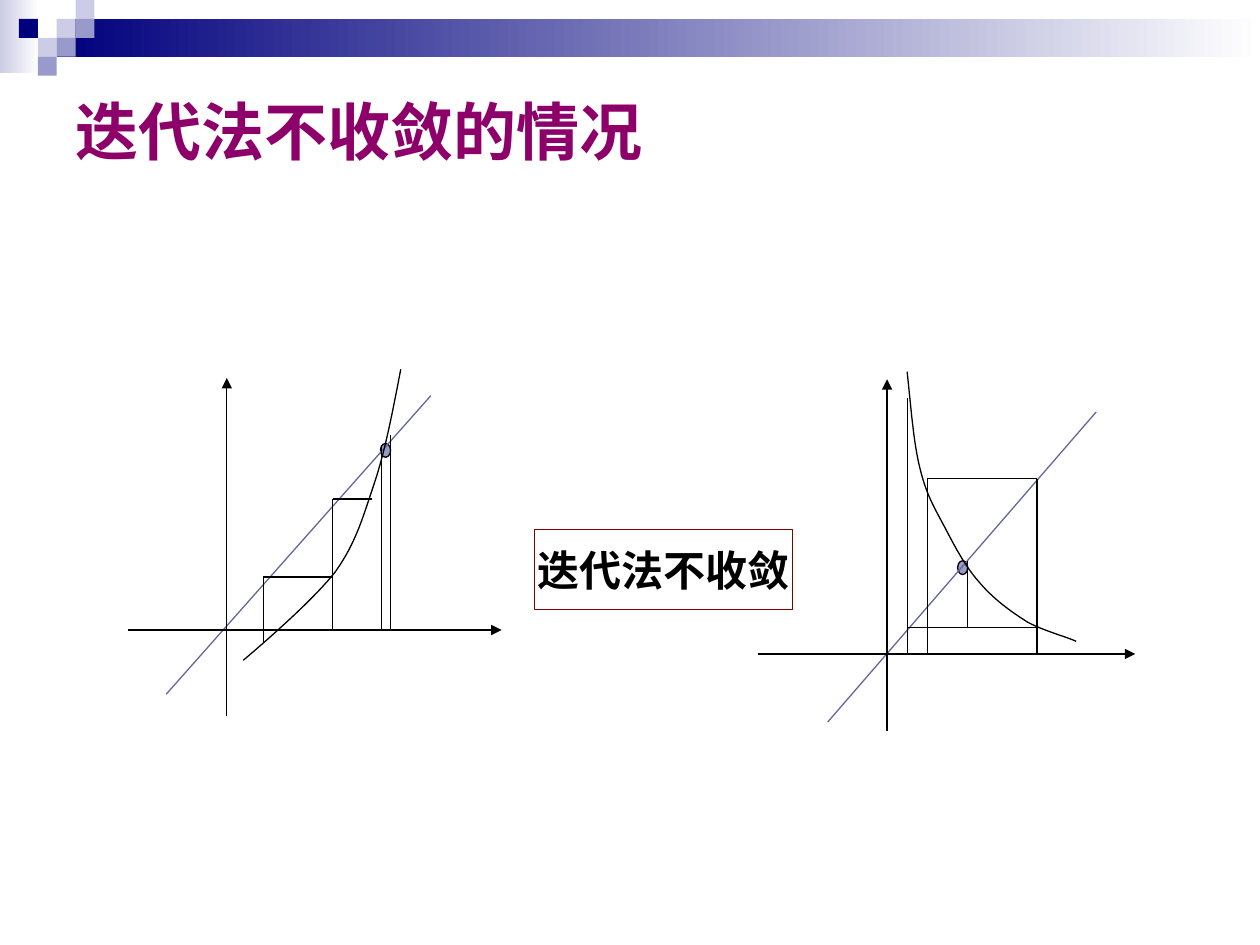
from dataclasses import dataclass

from pptx import Presentation, util as u
from pptx.dml.color import RGBColor
from pptx.enum import shapes, text
from pptx.oxml.ns import qn
from lxml import etree


@dataclass(frozen=True)
class Theme:
    navy: str = "00007D"
    pale: str = "CCCCE6"
    lilac: str = "9999CC"
    diagonal: str = "666699"
    ink: str = "000000"
    white: str = "FFFFFF"
    frame: str = "800000"
    heading: str = "8E0069"
    title_size: float = 36
    label_size: float = 24
    stroke: float = 0.75
    cell: float = 10.8


T = Theme()
DOT = (5.8, 7.9)

LEFT = {
    "diagonal": (95, 396.7, 246.2, 226.1),
    "axes": [(73.4, 360, 286.6, 360), (129.6, 409, 129.6, 216)],
    "steps": [
        (218.2, 254.2, 218.2, 360.7),
        (150.5, 367.2, 150.5, 329.8),
        (190.1, 359.3, 190.1, 285.1),
        (212.4, 285.1, 190.1, 285.1),
        (190.1, 329.8, 150.5, 329.8),
        (223.2, 248.4, 223.2, 359.3),
    ],
    "curve": [
        (229, 211), (224.6, 234), (220.3, 257), (213.8, 276.5),
        (207.4, 295.2), (203.8, 309.6), (191.5, 326.9),
        (178.6, 343.4), (147.6, 370.1), (139, 377.3),
    ],
    "dot": (217.4, 253.4),
}

RIGHT = {
    "diagonal": (473, 412.6, 626.4, 235.4),
    "axes": [(433.4, 373.7, 648.7, 373.7), (506.9, 417.6, 506.9, 216.7)],
    "steps": [
        (529.9, 373.7, 529.9, 273.6),
        (529.9, 273.6, 592.6, 273.6),
        (592.6, 273.6, 592.6, 373.7),
        (592.6, 358.6, 518.4, 358.6),
        (518.4, 373.7, 518.4, 227.5),
        (553, 320.4, 553, 358.6),
    ],
    "curve": [
        (518.4, 212.4), (520.6, 232.6), (522, 252.7), (525.6, 267.1),
        (529.2, 282.2), (533.5, 289.4), (539.3, 300.2),
        (545, 311), (551.5, 324), (560.2, 333.4),
        (568.1, 342.7), (578.2, 349.9), (587.5, 355.7),
        (596.9, 360.7), (610.6, 364.3), (614.9, 366.5),
    ],
    "dot": (547.2, 320.4),
}


def rgb(value):
    return RGBColor.from_string(value)


def set_attrs(obj, **values):
    for name, value in values.items():
        setattr(obj, name, value)


def set_line(line, color):
    line.color.rgb = rgb(color)
    line.width = u.Pt(T.stroke)


def add_box(slide, kind, at, fill=None, line=None):
    sp = slide.shapes.add_shape(kind, *map(u.Pt, at))
    sp.shadow.inherit = False
    if isinstance(fill, tuple):
        sp.fill.gradient()
        sp.fill.gradient_angle = 0
        for stop, color, position in zip(sp.fill.gradient_stops, fill, (0, 1)):
            stop.color.rgb = rgb(color)
            stop.position = position
    elif fill:
        sp.fill.solid()
        sp.fill.fore_color.rgb = rgb(fill)
    else:
        sp.fill.background()
    if line:
        set_line(sp.line, line)
    else:
        sp.line.fill.background()
    return sp


def add_line(slide, ends, color=T.ink, arrow=False):
    cxn = slide.shapes.add_connector(
        shapes.MSO_CONNECTOR.STRAIGHT, *map(u.Pt, ends))
    set_line(cxn.line, color)
    if arrow:
        etree.SubElement(cxn.line._get_or_add_ln(), qn("a:tailEnd"), type="triangle")
    etree.SubElement(cxn._element.spPr, qn("a:effectLst"))


def bezier(p0, p1, p2, p3, t):
    s = 1 - t
    return tuple(
        u.Pt(s**3 * a + 3 * s * s * t * b + 3 * s * t * t * c + t**3 * d)
        for a, b, c, d in zip(p0, p1, p2, p3))


def add_curve(slide, points, steps=12):
    vertices = [
        bezier(*points[i:i + 4], n / steps)
        for i in range(0, len(points) - 1, 3)
        for n in range(1, steps + 1)
    ]
    fb = slide.shapes.build_freeform(*map(u.Pt, points[0]))
    fb.add_line_segments(vertices, close=False)
    sp = fb.convert_to_shape()
    sp.shadow.inherit = False
    sp.fill.background()
    set_line(sp.line, T.ink)


def write(sp, words, font, size, color, align, **frame):
    tf = sp.text_frame
    set_attrs(tf, **frame)
    p = tf.paragraphs[0]
    p.alignment = align
    r = p.add_run()
    r.text = words
    set_attrs(r.font, name=font, size=u.Pt(size), bold=True)
    r.font.color.rgb = rgb(color)


def add_banner(slide):
    rect = shapes.MSO_SHAPE.RECTANGLE
    c = T.cell
    add_box(slide, rect, (0, 0, 22.3, 41.8), (T.pale, T.white))
    add_box(slide, rect, (3 * c, c, 720 - 3 * c, 2 * c), (T.navy, T.white))
    cells = {
        T.pale: [(3, 1), (4, 0), (2, 2)],
        T.lilac: [(4, 1), (3, 2), (2, 3)],
        T.navy: [(1, 1)],
    }
    for color, places in cells.items():
        for col, row in places:
            add_box(slide, rect, (col * c, row * c, c, c), color)


def add_graph(slide, graph):
    add_box(slide, shapes.MSO_SHAPE.OVAL, graph["dot"] + DOT, T.lilac, T.ink)
    add_line(slide, graph["diagonal"], T.diagonal)
    for ends in graph["axes"]:
        add_line(slide, ends, arrow=True)
    add_curve(slide, graph["curve"])
    for ends in graph["steps"]:
        add_line(slide, ends)


def add_title(slide, words):
    sp = slide.shapes.title
    set_attrs(sp, left=u.Pt(36), top=u.Pt(49), width=u.Pt(648), height=u.Pt(90))
    write(sp, words, "Arial", T.title_size, T.heading, text.PP_ALIGN.LEFT,
          vertical_anchor=text.MSO_ANCHOR.TOP, word_wrap=True)


def add_label(slide, words):
    sp = add_box(slide, shapes.MSO_SHAPE.RECTANGLE,
                 (305.3, 302.4, 147.6, 46.1), line=T.frame)
    write(sp, words, "Times New Roman", T.label_size, T.ink, text.PP_ALIGN.CENTER,
          vertical_anchor=text.MSO_ANCHOR.MIDDLE, word_wrap=False)


def main():
    prs = Presentation()
    set_attrs(prs, slide_width=u.Pt(720), slide_height=u.Pt(540))
    slide = prs.slides.add_slide(prs.slide_layouts[5])
    add_banner(slide)
    for graph in (LEFT, RIGHT):
        add_graph(slide, graph)
    add_label(slide, "迭代法不收敛")
    add_title(slide, "迭代法不收敛的情况")
    prs.save("out.pptx")


if __name__ == "__main__":
    main()
